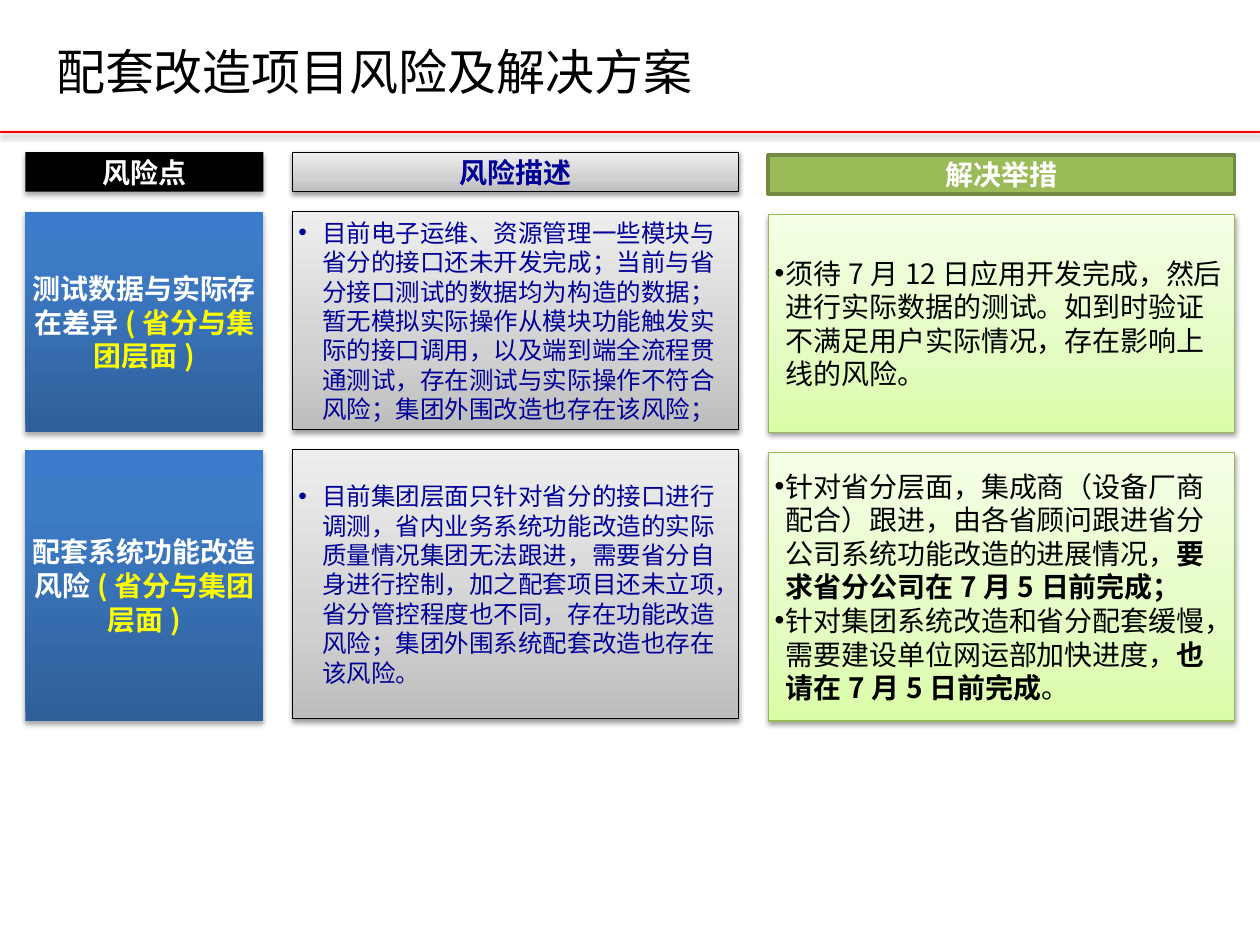
from lxml import etree
from pptx import Presentation
from pptx.dml.color import RGBColor
from pptx.enum import shapes, text
from pptx.oxml import ns
from pptx.util import Pt

FONT = "Noto Sans CJK SC"
HUES = {"black": "000000", "white": "FFFFFF", "navy": "000099",
        "yellow": "FFFF00", "red": "FF0000", "green": "9BBB59",
        "olive": "738A42", "leaf": "98B955"}
FADES = {"gray": [(0, "BDBDBD"), (35, "D1D1D1"), (100, "EEEEEE")],
         "blue": [(0, "2F5F99"), (80, "3D7CC7"), (100, "3A7CCB")],
         "lime": [(0, "DAFDA7"), (35, "E4FCC2"), (100, "F5FFE7")]}

# Looks: fill, line, line width, shadow (alpha, distance)
SOFT, DEEP = (38, 1.6), (35, 1.8)
LOOKS = {"dark": ("black", None, 0, DEEP), "blue": ("blue", None, 0, DEEP),
         "gray": ("gray", "black", 0.75, SOFT),
         "green": ("green", "olive", 2, None),
         "lime": ("lime", "leaf", 0.75, SOFT)}

# Columns: left, width, drop, head look, body look, head colour
COLS = [(14.5, 136, 0, "dark", "blue", "white"),
        (167, 255, 0, "gray", "gray", "navy"),
        (439, 266.5, 1.5, "green", "lime", "white")]
HEADS = ["风险点", "风险描述", "解决举措"]
# Rows: top, then the height of each column's box
ROWS = [(121, (126, 124.5, 124.5)), (257, (155, 153.5, 153.5))]
# Each row: risk name, description, list of measures made of (text, bold) runs
RISKS = [
    ("测试数据与实际存在差异",
     "目前电子运维、资源管理一些模块与省分的接口还未开发完成；当前与省分接口测试的数据均为构造的数据；"
     "暂无模拟实际操作从模块功能触发实际的接口调用，以及端到端全流程贯通测试，"
     "存在测试与实际操作不符合风险；集团外围改造也存在该风险；",
     [[("须待7月12日应用开发完成，然后进行实际数据的测试。"
        "如到时验证不满足用户实际情况，存在影响上线的风险。", False)]]),
    ("配套系统功能改造风险",
     "目前集团层面只针对省分的接口进行调测，省内业务系统功能改造的实际质量情况集团无法跟进，"
     "需要省分自身进行控制，加之配套项目还未立项，省分管控程度也不同，存在功能改造风险；"
     "集团外围系统配套改造也存在该风险。",
     [[("针对省分层面，集成商（设备厂商配合）跟进，由各省顾问跟进省分公司系统功能改造的进展情况，", False),
       ("要求省分公司在7月5日前完成；", True)],
      [("针对集团系统改造和省分配套缓慢，需要建设单位网运部加快进度，", False),
       ("也请在7月5日前完成", True), ("。", False)]]),
]


def rgb(name):
    """Return the named colour."""
    return RGBColor.from_string(HUES[name])


def node(up, tag, **atts):
    """Add a drawing element under another one."""
    return etree.SubElement(up, ns.qn("a:" + tag),
                            {k: str(v) for k, v in atts.items()})


def shade(item, look):
    """Give an item its own effect list, with a shadow if one is named."""
    props = item._element.spPr
    for old in props.findall(ns.qn("a:effectLst")):
        props.remove(old)
    fx = node(props, "effectLst")
    if look:
        alpha, dist = look
        drop = node(fx, "outerShdw", blurRad=Pt(3.1), dist=Pt(dist),
                    dir=5400000, rotWithShape=0)
        hue = node(drop, "srgbClr", val=HUES["black"])
        node(hue, "alpha", val=alpha * 1000)


def fade(box, stops):
    """Fill a box with a gradient that runs upward."""
    box.fill.gradient()
    grad = box._element.spPr.find(ns.qn("a:gradFill"))
    for kid in list(grad):
        grad.remove(kid)
    row = node(grad, "gsLst")
    for pos, hue in stops:
        node(node(row, "gs", pos=pos * 1000), "srgbClr", val=hue)
    node(grad, "lin", ang=16200000, scaled=0)


def write(para, words, size, hue, bold=False):
    """Add one run to a paragraph."""
    run = para.add_run()
    run.text = words
    font = run.font
    font.name, font.size, font.bold = FONT, Pt(size), bold
    font.color.rgb = rgb(hue)
    node(run._r.get_or_add_rPr(), "ea", typeface=FONT)


def panel(slide, area, look, paras, size=16, hang=0):
    """Draw a box with text; hang is the bullet indent, 0 means centred."""
    fill, line, width, shadow = LOOKS[look]
    box = slide.shapes.add_shape(shapes.MSO_SHAPE.RECTANGLE,
                                 *[Pt(n) for n in area])
    if fill in FADES:
        fade(box, FADES[fill])
    else:
        box.fill.solid()
        box.fill.fore_color.rgb = rgb(fill)
    if line:
        box.line.color.rgb = rgb(line)
        box.line.width = Pt(width)
    else:
        box.line.fill.background()
    box.shadow.inherit = False
    shade(box, shadow)
    frame = box.text_frame
    frame.word_wrap = True
    frame.vertical_anchor = text.MSO_ANCHOR.MIDDLE
    frame.margin_left = frame.margin_right = Pt(3.6)
    frame.margin_top = frame.margin_bottom = Pt(3.6)
    for i, runs in enumerate(paras):
        para = frame.add_paragraph() if i else frame.paragraphs[0]
        para.alignment = text.PP_ALIGN.LEFT if hang else text.PP_ALIGN.CENTER
        if hang:
            props = para._p.get_or_add_pPr()
            props.set("marL", str(Pt(hang)))
            props.set("indent", str(-Pt(hang)))
            node(props, "buFont", typeface="Arial")
            node(props, "buChar", char="•")
        for words, hue, bold in runs:
            write(para, words, size, hue, bold)


def banner(slide, left, top, width, height):
    """Draw the title and the red rule below it."""
    rule = slide.shapes.add_connector(shapes.MSO_CONNECTOR.STRAIGHT,
                                      0, Pt(75.5), Pt(720), Pt(75.5))
    rule.line.color.rgb = rgb("red")
    rule.line.width = Pt(1.5)
    shade(rule, SOFT)
    box = slide.shapes.add_textbox(Pt(left), Pt(top), Pt(width), Pt(height))
    box.text_frame.word_wrap = True
    write(box.text_frame.paragraphs[0], "配套改造项目风险及解决方案", 28, "black")


def header(slide, top, height):
    """Draw the three column heads."""
    for (x, wide, drop, look, _, hue), words in zip(COLS, HEADS):
        panel(slide, (x, top + drop, wide, height), look,
              [[(words, hue, True)]])


def risk(slide, top, highs, name, about, steps):
    """Draw one row: risk, description and measures."""
    paras = [[[(name, "white", True), ("(省分与集团层面)", "yellow", True)]],
             [[(about, "navy", False)]],
             [[(words, "black", bold) for words, bold in step]
              for step in steps]]
    styles = [(16, 0), (14, 13.5), (16, 6.5)]
    for col, high, body, style in zip(COLS, highs, paras, styles):
        x, wide, drop, _, look, _ = col
        panel(slide, (x, top + drop, wide, high), look, body, *style)


def main():
    """Build and save the slide."""
    deck = Presentation()
    deck.slide_width, deck.slide_height = Pt(720), Pt(540)
    slide = deck.slides.add_slide(deck.slide_layouts[6])
    banner(slide, 25, 20, 618, 52.5)
    header(slide, 87, 22.5)
    for (top, highs), words in zip(ROWS, RISKS):
        risk(slide, top, highs, *words)
    deck.save("out.pptx")


main()
